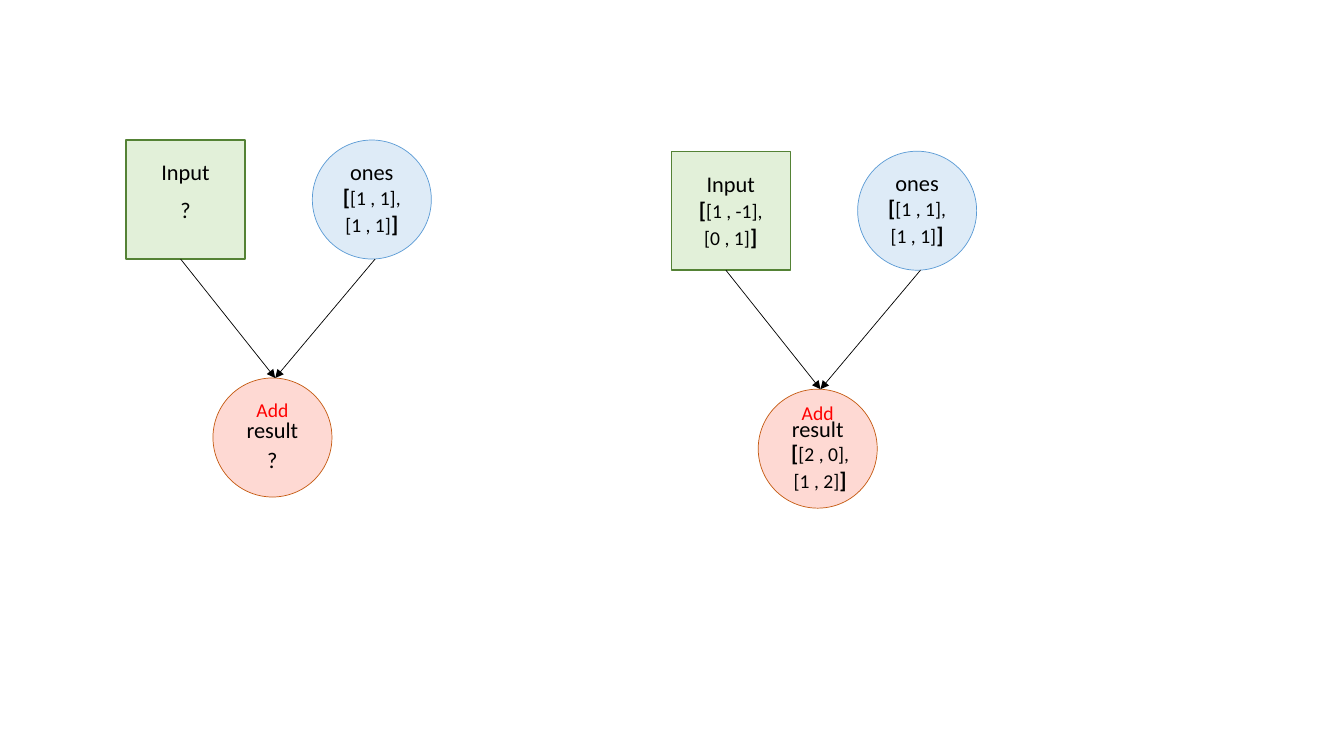
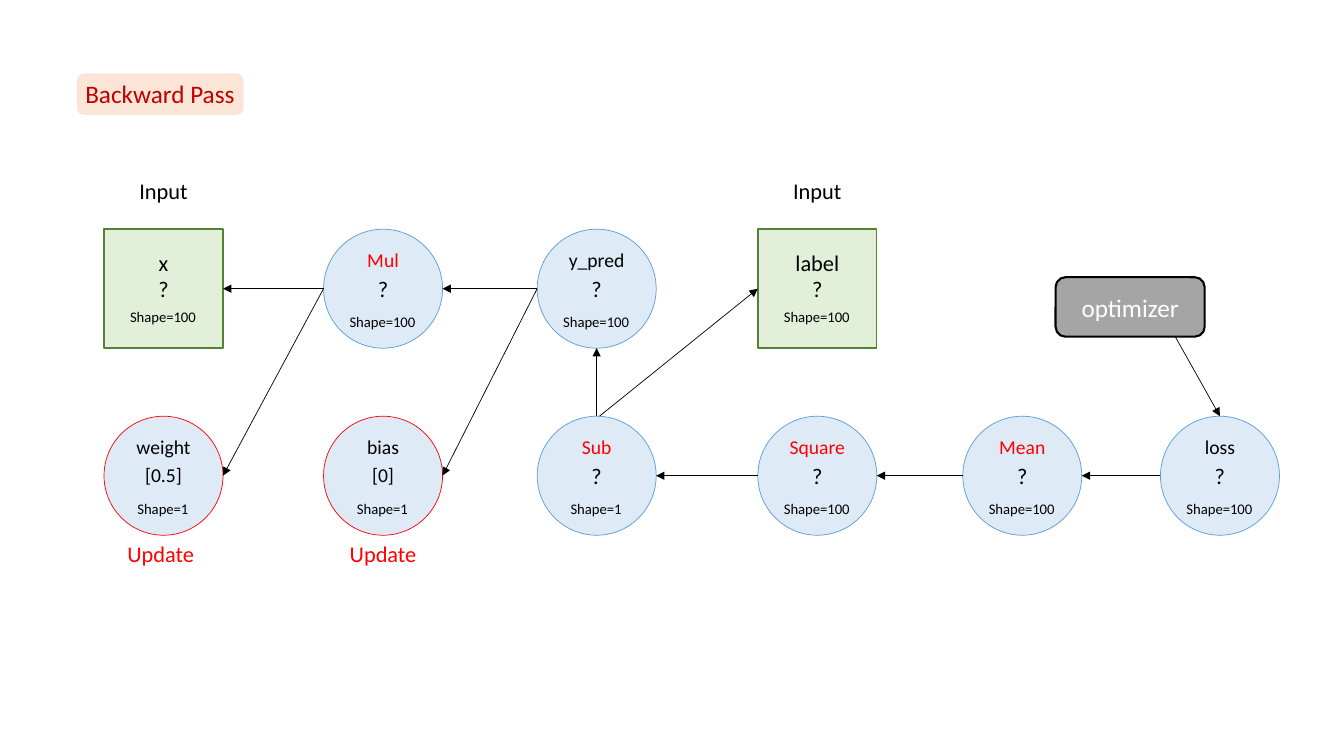
import pptx
import pptx.util
import pptx.dml.color
import pptx.enum.shapes
import pptx.enum.text
import pptx.oxml.ns
from lxml import etree

Pt = pptx.util.Pt
RGBColor = pptx.dml.color.RGBColor
MSO_SHAPE = pptx.enum.shapes.MSO_SHAPE
MSO_ANCHOR = pptx.enum.text.MSO_ANCHOR
PP_ALIGN = pptx.enum.text.PP_ALIGN
qn = pptx.oxml.ns.qn

BLACK = RGBColor(0x00, 0x00, 0x00)
WHITE = RGBColor(0xFF, 0xFF, 0xFF)
RED = RGBColor(0xFF, 0x00, 0x00)
DARK_RED = RGBColor(0xC0, 0x00, 0x00)
GREEN = RGBColor(0x54, 0x82, 0x35)
PALE_GREEN = RGBColor(0xE2, 0xF0, 0xD9)
BLUE = RGBColor(0x5B, 0x9B, 0xD5)
PALE_BLUE = RGBColor(0xDE, 0xEB, 0xF7)
ORANGE = RGBColor(0xC5, 0x5A, 0x11)
PALE_RED = RGBColor(0xFE, 0xD9, 0xD3)
PALE_ORANGE = RGBColor(0xFB, 0xE5, 0xD6)
GREY = RGBColor(0xA5, 0xA5, 0xA5)

FONT = "Calibri"
NODE = 85
HALF = NODE / 2

# Node styles: preset, fill, line colour, line width
INPUT = (MSO_SHAPE.RECTANGLE, PALE_GREEN, GREEN, 1)
OP = (MSO_SHAPE.OVAL, PALE_BLUE, BLUE, 0.5)
PARAM = (MSO_SHAPE.OVAL, PALE_BLUE, RED, 0.5)
RESULT = (MSO_SHAPE.OVAL, PALE_RED, ORANGE, 0.5)
OPTIMIZER = (MSO_SHAPE.ROUNDED_RECTANGLE, GREY, BLACK, 1.5)
BAND = (MSO_SHAPE.ROUNDED_RECTANGLE, PALE_ORANGE, None, 0)

# Label box widths by text, and heights by text size
WIDTHS = {"Input": 50, "ones": 46, "result": 52, "Add": 37.5, "?": 22, "x": 22,
          "label": 46, "weight": 54, "bias": 37.5, "Mul": 37.5, "y_pred": 55,
          "Sub": 36, "Square": 55, "Mean": 48, "loss": 37, "[0.5]": 41, "[0]": 30,
          "Shape=100": 62.5, "Shape=1": 52, "Update": 62.5}
HEIGHTS = {16: 26.6, 14: 24.2, 10.5: 20}


def add_node(s, style, x, y, w=NODE, h=NODE):
    preset, fill, line, width = style
    sp = s.shapes.add_shape(preset, Pt(x), Pt(y), Pt(w), Pt(h))
    sp.shadow.inherit = False
    sp.fill.solid()
    sp.fill.fore_color.rgb = fill
    if line is None:
        sp.line.fill.background()
    else:
        sp.line.color.rgb = line
        sp.line.width = Pt(width)
    return sp


def add_label(s, text, cx, top, size=16, color=BLACK):
    """A centred label; a pair of texts becomes a matrix in bold brackets."""
    if isinstance(text, tuple):
        w, h = 64, 46
        lines = [[("[", 16, True), (text[0], 14, False)],
                 [(text[1], 14, False), ("]", 16, True)]]
    else:
        w, h = WIDTHS[text], HEIGHTS[size]
        lines = [[(text, size, False)]]
    tf = s.shapes.add_textbox(Pt(cx - w / 2), Pt(top), Pt(w), Pt(h)).text_frame
    tf.word_wrap = False
    for i, line in enumerate(lines):
        p = tf.add_paragraph() if i else tf.paragraphs[0]
        p.alignment = PP_ALIGN.CENTER
        for run_text, run_size, bold in line:
            r = p.add_run()
            r.text = run_text
            r.font.name = FONT
            r.font.size = Pt(run_size)
            r.font.bold = bold
            r.font.color.rgb = color


prs = pptx.Presentation()
prs.slide_width, prs.slide_height = Pt(960), Pt(540)
arrows = []

# Slide 1: the addition graph before and after the input is known
s = prs.slides.add_slide(prs.slide_layouts[6])
# x, y, input value and top, result top, result value, centre shift and top, Add top
graphs = [
    (90, 100, "?", 36.9, 193.9, "?", 0, 215.3, 180.7),
    (479.5, 108, ("[1 , -1],", "[0 , 1]"), 28.8, 185,
     ("[2 , 0],", "[1 , 2]"), 1.8, 202.3, 174.5),
]
for x, y, value, value_top, result_top, result, shift, sum_top, add_top in graphs:
    input_cx, ones_cx, result_cx = x + HALF, x + 175.6, x + 104.6
    add_node(s, INPUT, x, y)
    add_node(s, OP, ones_cx - HALF, y)
    add_node(s, RESULT, result_cx - HALF, y + 2 * NODE)
    add_label(s, "Input", input_cx, y + 9.7)
    add_label(s, value, input_cx, y + value_top)
    add_label(s, "ones", ones_cx, y + 9.5)
    add_label(s, ("[1 , 1],", "[1 , 1]"), ones_cx, y + 27.4)
    add_label(s, "result", result_cx, y + result_top)
    add_label(s, result, result_cx + shift, y + sum_top)
    add_label(s, "Add", result_cx, y + add_top, 14, RED)
    for start in (39, 178):
        arrows.append((s, x + start, y + NODE, x + 106.6, y + 2 * NODE))

# Slide 2: backward pass, with the title on a band
s = prs.slides.add_slide(prs.slide_layouts[5])
title = s.shapes.title
title.left, title.top, title.width, title.height = Pt(53), Pt(52.5), Pt(122.5), Pt(29)
band = add_node(s, BAND, 55, 52.5, 119, 29.5)
title.element.addprevious(band.element)
optimizer = add_node(s, OPTIMIZER, 754, 198, 106.5, 42.5)

for sp, text, color in ((title, "Backward Pass", DARK_RED), (optimizer, "optimizer", WHITE)):
    tf = sp.text_frame
    tf.word_wrap = False
    tf.auto_size = pptx.enum.text.MSO_AUTO_SIZE.NONE
    tf.vertical_anchor = MSO_ANCHOR.MIDDLE
    tf.margin_left = tf.margin_right = 0
    p = tf.paragraphs[0]
    p.alignment = PP_ALIGN.CENTER
    r = p.add_run()
    r.text = text
    r.font.name = FONT
    r.font.size = Pt(18)
    r.font.color.rgb = color

# Nodes: column, row, style, name, name colour, value, shape
cols = [116.8, 273.6, 426.2, 583.8, 730.2, 871.4]
rows = [163.7, 297.3]
nodes = [
    (0, 0, INPUT, "x", BLACK, "?", "Shape=100"),
    (1, 0, OP, "Mul", RED, "?", "Shape=100"),
    (2, 0, OP, "y_pred", BLACK, "?", "Shape=100"),
    (3, 0, INPUT, "label", BLACK, "?", "Shape=100"),
    (0, 1, PARAM, "weight", BLACK, "[0.5]", "Shape=1"),
    (1, 1, PARAM, "bias", BLACK, "[0]", "Shape=1"),
    (2, 1, OP, "Sub", RED, "?", "Shape=1"),
    (3, 1, OP, "Square", RED, "?", "Shape=100"),
    (4, 1, OP, "Mean", RED, "?", "Shape=100"),
    (5, 1, OP, "loss", BLACK, "?", "Shape=100"),
]
for col, row, style, name, color, value, shape in nodes:
    cx, y = cols[col], rows[row]
    add_node(s, style, cx - HALF, y)
    is_input = style == INPUT
    add_label(s, name, cx, y + (10.8 if is_input else 9.6), 16 if is_input else 14, color)
    add_label(s, value, cx, y + 29.5, 16 if value == "?" else 14)
    add_label(s, shape, cx - 0.4, y + (53 if is_input else 56.2), 10.5)
    if is_input:
        add_label(s, "Input", cx, 123)
    if style == PARAM:
        add_label(s, "Update", cx - 2 if col == 0 else cx, 382.3, 16, RED)

# Sideways arrows: start column and row, end column and row
for c1, r1, c2, r2 in [(1, 0, 0, 0), (1, 0, 0, 1), (2, 0, 1, 0), (2, 0, 1, 1),
                       (3, 1, 2, 1), (4, 1, 3, 1), (5, 1, 4, 1)]:
    arrows.append((s, cols[c1] - HALF, rows[r1] + HALF, cols[c2] + HALF, rows[r2] + HALF))
arrows += [
    (s, cols[2] + 2, rows[1], cols[3] - HALF, rows[0] + HALF),
    (s, cols[2], rows[1], cols[2], rows[0] + NODE),
    (s, 839.5, 240.5, cols[5], rows[1]),
]

# Arrows of both slides
for s, x1, y1, x2, y2 in arrows:
    line = s.shapes.add_connector(pptx.enum.shapes.MSO_CONNECTOR.STRAIGHT,
                                  Pt(x1), Pt(y1), Pt(x2), Pt(y2))
    line.line.color.rgb = BLACK
    line.line.width = Pt(0.5)
    ln = line.element.spPr.find(qn("a:ln"))
    etree.SubElement(ln, qn("a:tailEnd"), type="triangle")
    etree.SubElement(line.element.spPr, qn("a:effectLst"))

prs.save("out.pptx")
